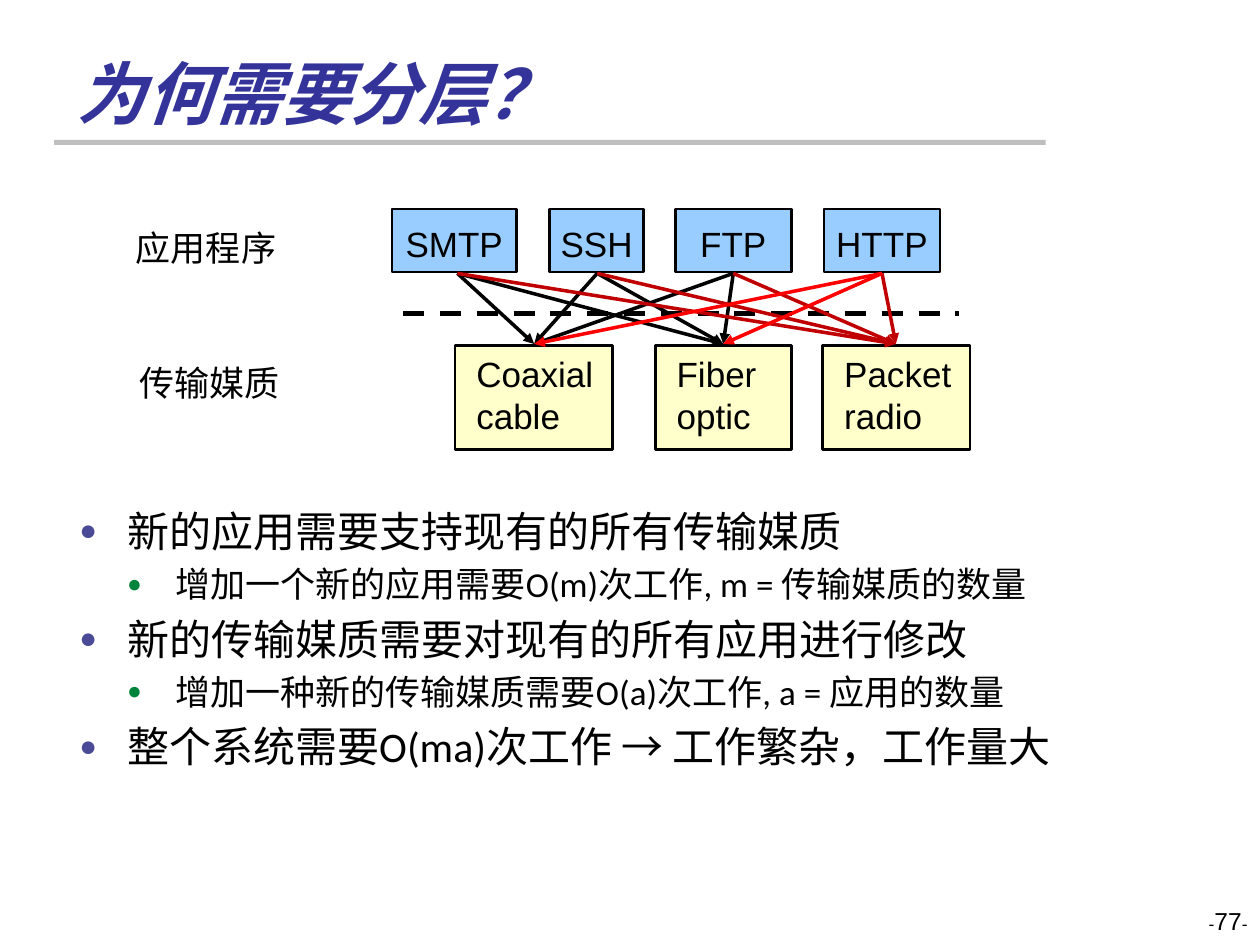
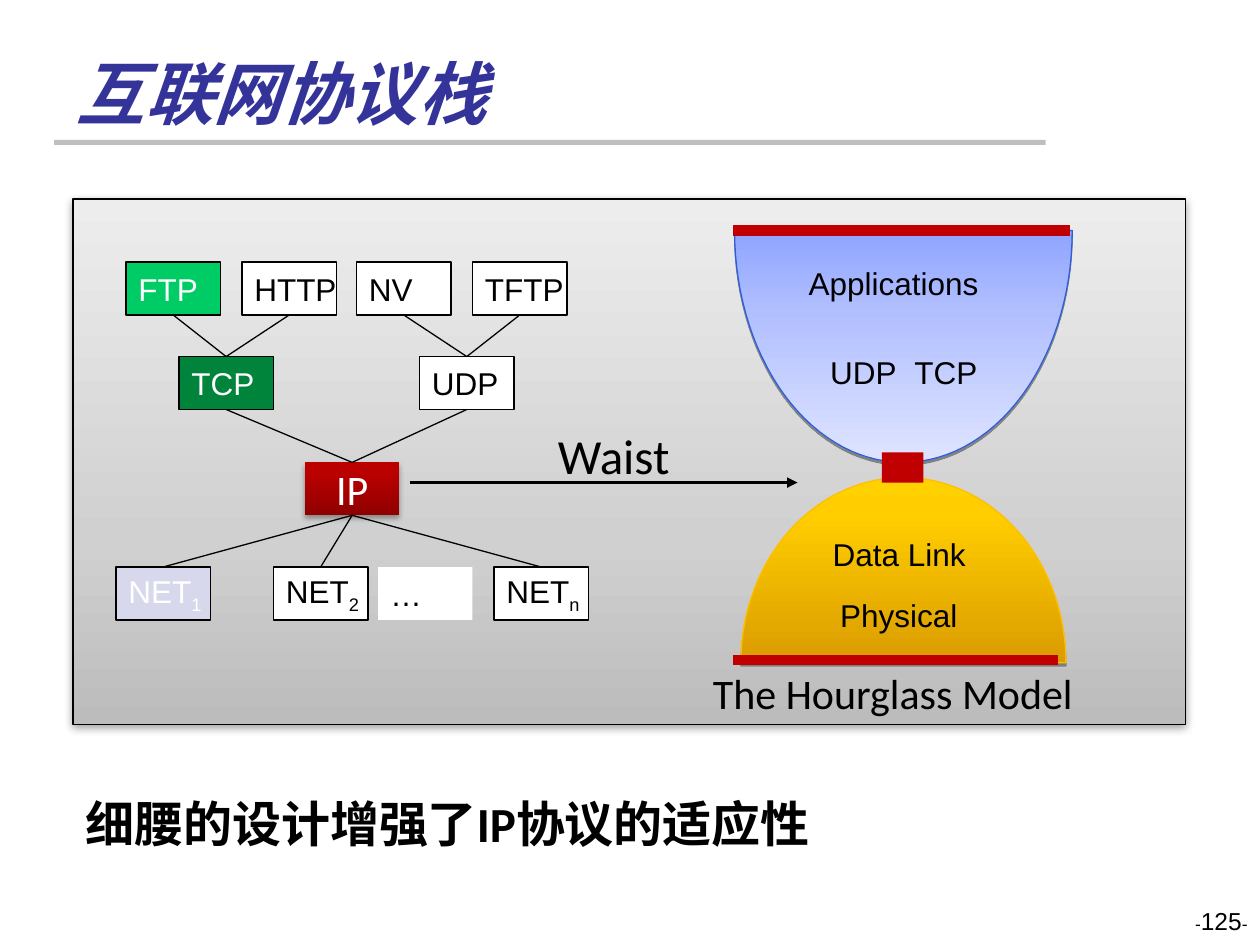
import math
import pptx
import pptx.util
import pptx.dml.color
import pptx.enum.dml
import pptx.enum.shapes
import pptx.enum.text
import pptx.oxml
import pptx.oxml.ns
from pptx.util import Inches

HUES = {
    "ink": "000000", "white": "FFFFFF", "title": "333399", "rule": "BFBFBF",
    "dot": "4A4A97", "subdot": "00843C", "app": "99CCFF", "medium": "FFFFCC",
    "dark": "C00000", "red": "FF0000", "ftp": "00CC66", "tcp": "00843C",
    "net": "D8D8EC", "blue": "2D5DD9", "gold": "FFBF00",
}
# Gradients run from top to bottom as (percent, colour).
FADES = {
    "panel": [(0, "EDEDED"), (65, "D0D0D0"), (100, "BCBCBC")],
    "bowl": [(0, "8FA4FF"), (35, "B1BFFF"), (100, "DFE5FF")],
    "dome": [(0, "FFD100"), (20, "FFCD00"), (100, "DA9C00")],
    "waist": [(0, "BB0000"), (20, "BA0000"), (100, "8F0000")],
}
RECT = pptx.enum.shapes.MSO_SHAPE.RECTANGLE
ALIGN = pptx.enum.text.PP_ALIGN
ANCHOR = pptx.enum.text.MSO_ANCHOR
FIT = pptx.enum.text.MSO_AUTO_SIZE


def rgb(hue):
    return pptx.dml.color.RGBColor.from_string(HUES[hue])


def node(tag, **attrs):
    item = pptx.oxml.parse_xml(f"<a:{tag} {pptx.oxml.ns.nsdecls('a')}/>")
    for key, value in attrs.items():
        item.set(key, str(value))
    return item


def tinted(tag, hue, **attrs):
    """An XML element of the given tag that holds one colour."""
    item = node(tag, **attrs)
    item.append(node("srgbClr", val=hue))
    return item


def style(font, hue="ink", **form):
    for key, value in form.items():
        setattr(font, key, pptx.util.Pt(value) if key == "size" else value)
    font.color.rgb = rgb(hue)


def write(par, runs, **form):
    """Fill a paragraph from a string or from (text, changes) pairs."""
    pairs = [(runs, {})] if isinstance(runs, str) else runs
    for text, change in pairs:
        values = {**form, **change}
        drop = values.pop("drop", 0)
        run = par.add_run()
        run.text = text
        style(run.font, **values)
        if drop:
            run._r.get_or_add_rPr().set("baseline", str(-1000 * drop))


def fade(fill, stops):
    fill.gradient()
    fill.gradient_angle = 270
    track = fill._xPr.find(".//" + pptx.oxml.ns.qn("a:gsLst"))
    for old in list(track):
        track.remove(old)
    for spot, hue in stops:
        track.append(tinted("gs", hue, pos=spot * 1000))


def paint(shape, fill, line=None, width=0.75, shade=None):
    """Set fill, outline and shadow; shade is (opacity, blur, distance)."""
    if fill in FADES:
        fade(shape.fill, FADES[fill])
    else:
        shape.fill.solid()
        shape.fill.fore_color.rgb = rgb(fill)
    if line:
        shape.line.color.rgb = rgb(line)
        shape.line.width = pptx.util.Pt(width)
    else:
        shape.line.fill.background()
    shape.shadow.inherit = False
    if shade:
        alpha, blur, dist = shade
        cast = tinted("outerShdw", HUES["ink"], blurRad=int(blur * 12700),
                      dist=int(dist * 12700), dir=5400000, rotWithShape=0)
        cast[0].append(node("alpha", val=alpha * 1000))
        shape._element.spPr.find(pptx.oxml.ns.qn("a:effectLst")).append(cast)
    return shape


def place(shape, *spot):
    for key, value in zip(("left", "top", "width", "height"), spot):
        setattr(shape, key, Inches(value))


def box(slide, spot, fill, **look):
    shape = slide.shapes.add_shape(RECT, *map(Inches, spot))
    return paint(shape, fill, **look)


def fill_in(shape, lines, align=ALIGN.LEFT, anchor=ANCHOR.TOP, left=0.1,
            top=0.05, wrap=False, **form):
    frame = shape.text_frame
    frame.word_wrap = wrap
    frame.vertical_anchor = anchor
    frame.margin_left, frame.margin_top = Inches(left), Inches(top)
    for i, runs in enumerate(lines):
        par = frame.add_paragraph() if i else frame.paragraphs[0]
        par.alignment = align
        write(par, runs, **{"name": "Arial", "size": 18, **form})
    return shape


def label(slide, spot, text, **form):
    return fill_in(slide.shapes.add_textbox(*map(Inches, spot)), [text], **form)


def wire(slide, start, end, hue="ink", width=0.75, arrow=False, dash=False):
    kind = pptx.enum.shapes.MSO_CONNECTOR.STRAIGHT
    link = slide.shapes.add_connector(kind, *map(Inches, (*start, *end)))
    link.line.color.rgb = rgb(hue)
    link.line.width = pptx.util.Pt(width)
    if dash:
        link.line.dash_style = pptx.enum.dml.MSO_LINE.DASH
    if arrow:
        link.line._get_or_add_ln().append(node("tailEnd", type="triangle"))
    link._element.spPr.append(node("effectLst"))
    return link


def join(slide, upper, lower):
    """Wire the bottom of one box to the top of another."""
    link = wire(slide, (0, 0), (1, 1))
    link.begin_connect(upper, 2)
    link.end_connect(lower, 0)


def half(slide, mid, base, wide, tall, **look):
    """Half an ellipse on a flat base; a negative height points upward."""
    steps = 60
    turns = [math.pi * i / steps for i in range(steps + 1)]
    dots = [(Inches(mid + wide * math.cos(t)), Inches(base + tall * math.sin(t)))
            for t in turns]
    pen = slide.shapes.build_freeform(*dots[0])
    pen.add_line_segments(dots[1:], close=True)
    return paint(pen.convert_to_shape(), **look)


def start(deck, layout, title, page):
    """Add a slide with the shared title, rule and page number."""
    slide = deck.slides.add_slide(deck.slide_layouts[layout])
    box(slide, (0.43, 1.11, 7.87, 0.04), "rule")
    head = slide.shapes.title
    place(head, 0.51, 0.28, 8.25, 0.78)
    head.text_frame.auto_size = FIT.NONE
    head.text_frame.margin_bottom = 0
    fill_in(head, [title], anchor=ANCHOR.BOTTOM, wrap=True, name="Calibri",
            size=39, hue="title", bold=True, italic=True)
    small = {"size": 10}
    label(slide, (7.67, 7.14, 2.33, 0.5),
          [("-", small), (page, {}), ("-", small)],
          align=ALIGN.RIGHT, wrap=True, size=14)
    return slide


def bullets(body, items):
    frame = body.text_frame
    frame.auto_size = FIT.NONE
    for i, (level, text) in enumerate(items):
        par = frame.add_paragraph() if i else frame.paragraphs[0]
        par.level = level
        size = (24, 20)[level]
        par.space_before = pptx.util.Pt(size * 0.2 if i else 0)
        props = par._p.get_or_add_pPr()
        props.set("marL", str(Inches(0.38 * (level + 1))))
        props.set("indent", str(Inches(-0.38)))
        props.append(tinted("buClr", HUES[("dot", "subdot")[level]]))
        props.append(node("buSzPct", val=70000))
        props.append(node("buFont", typeface="Arial"))
        props.append(node("buChar", char="●"))
        write(par, text, name="Calibri", size=size)


def layers(deck):
    slide = start(deck, 1, "为何需要分层？", "77")
    body = slide.placeholders[1]
    place(body, 0.53, 3.96, 9, 2.84)
    bullets(body, [
        (0, "新的应用需要支持现有的所有传输媒质"),
        (1, "增加一个新的应用需要O(m)次工作, m = 传输媒质的数量"),
        (0, "新的传输媒质需要对现有的所有应用进行修改"),
        (1, "增加一种新的传输媒质需要O(a)次工作, a = 应用的数量"),
        (0, "整个系统需要O(ma)次工作 → 工作繁杂，工作量大"),
    ])
    for x, y, text in [(0.98, 1.75, "应用程序"), (1.01, 2.82, "传输媒质")]:
        label(slide, (x, y, 1.32, 0.44), text, name="Noto Sans CJK SC", size=20)
    apps = [("SMTP", 3.11, 0.99), ("SSH", 4.36, 0.75),
            ("FTP", 5.36, 0.92), ("HTTP", 6.54, 0.92)]
    for name, x, wide in apps:
        tile = box(slide, (x, 1.66, wide, 0.5), "app", line="ink", width=1.5)
        fill_in(tile, [name], align=ALIGN.CENTER, top=0.11, size=20)
    media = [("Coaxial", "cable", 3.61, 1.25), ("Fiber", "optic", 5.2, 1.08),
             ("Packet", "radio", 6.53, 1.17)]
    for first, second, x, wide in media:
        tile = box(slide, (x, 2.74, wide, 0.83), "medium", line="ink", width=1.5)
        fill_in(tile, [first, second], left=0.17, top=0.06, size=20)
    wire(slide, (3.2, 2.49), (7.61, 2.49), width=3, dash=True)
    old, new = [3.63, 4.74, 5.82], 7
    coax, fiber, radio = 4.24, 5.74, 7.11
    for hue, tops, ends in [("ink", old, [coax, fiber]),
                            ("dark", old + [new], [radio]),
                            ("red", [new], [coax, fiber])]:
        for top in tops:
            for end in ends:
                wire(slide, (top, 2.17), (end, 2.73), hue, 2, arrow=True)


def glass(slide):
    """Draw the hourglass and its captions."""
    mid = 7.17
    half(slide, mid, 5.26, 1.29, -1.47, fill="dome", line="gold",
         shade=(35, 0, 1.8))
    half(slide, mid, 1.83, 1.34, 1.84, fill="bowl", line="blue",
         shade=(38, 0, 1.6))
    for y, end in [(1.83, 8.49), (5.24, 8.4)]:
        wire(slide, (5.82, y), (end, y), "dark", 6)
    box(slide, (7, 3.59, 0.33, 0.24), "dark")
    for x, y, wide, text in [(6.32, 2.05, 1.7, "Applications"),
                             (6.49, 2.75, 0.73, "UDP"),
                             (7.16, 2.75, 0.7, "TCP"),
                             (6.51, 4.2, 1.32, "Data Link"),
                             (6.57, 4.68, 1.21, "Physical")]:
        label(slide, (x, y, wide, 0.4), text)
    label(slide, (5.56, 5.25, 3.09, 0.51), "The Hourglass Model",
          name="Calibri", size=24)


def tree(slide):
    """Draw the protocol boxes and the wires between them."""
    plain = ("white", "ink")
    tints = {"FTP": ("ftp", "white"), "TCP": ("tcp", "white"),
             "NET1": ("net", "white")}
    rows = [
        (2.08, [("FTP", 1), ("HTTP", 1.92), ("NV", 2.83), ("TFTP", 3.75)]),
        (2.83, [("TCP", 1.42), ("UDP", 3.33)]),
        (4.5, [("NET1", 0.92), ("NET2", 2.17), ("NETn", 3.92), ("…", 3)]),
    ]
    nodes = {}
    for y, row in rows:
        for name, x in row:
            fill, hue = tints.get(name, plain)
            tile = box(slide, (x, y, 0.75, 0.42), fill,
                       line=None if name == "…" else "ink")
            runs = name
            if name.startswith("NET"):
                runs = [("NET", {}), (name[3:], {"drop": 25})]
            nodes[name] = fill_in(tile, [runs], anchor=ANCHOR.MIDDLE, hue=hue)
    tile = box(slide, (2.42, 3.67, 0.75, 0.42), "waist", shade=(35, 3.1, 1.8))
    nodes["IP"] = fill_in(tile, ["IP"], align=ALIGN.CENTER, hue="white",
                          anchor=ANCHOR.MIDDLE, name="Calibri", size=24)
    for pair in ["FTP TCP", "HTTP TCP", "NV UDP", "TFTP UDP", "TCP IP",
                 "UDP IP", "IP NETn", "IP NET1", "IP NET2"]:
        upper, lower = pair.split()
        join(slide, nodes[upper], nodes[lower])


def stack(deck):
    slide = start(deck, 5, "互联网协议栈", "125")
    box(slide, (0.58, 1.58, 8.83, 4.17), "panel", line="ink", shade=(38, 5, 1.6))
    wire(slide, (3.25, 3.83), (6.33, 3.83), width=2, arrow=True)
    glass(slide)
    tree(slide)
    note = {"name": "Calibri", "size": 28, "wrap": True}
    label(slide, (4.33, 3.33, 1.75, 0.57), "Waist", **note)
    label(slide, (0.58, 6.25, 8.59, 0.57), "细腰的设计增强了IP协议的适应性",
          bold=True, **note)


def main():
    deck = pptx.Presentation()
    deck.slide_width, deck.slide_height = Inches(10), Inches(7.5)
    layers(deck)
    stack(deck)
    deck.save("out.pptx")


if __name__ == "__main__":
    main()
